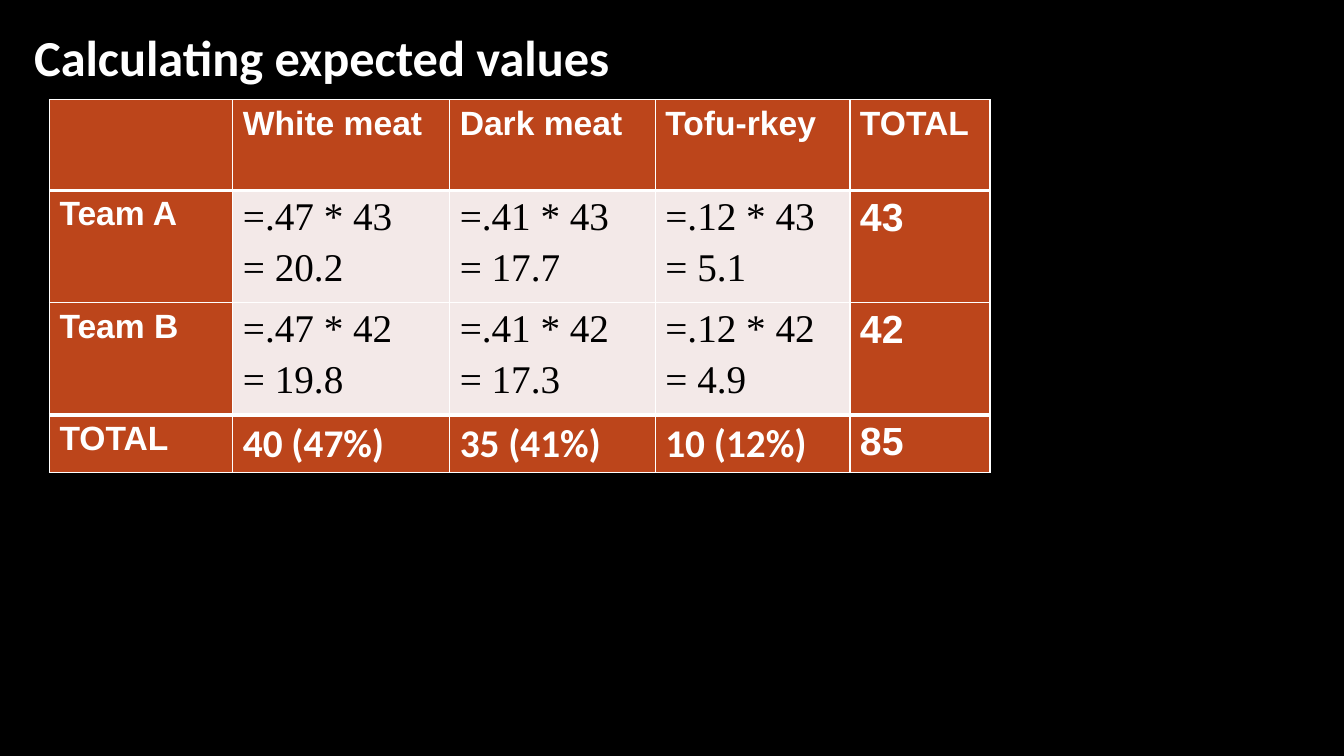
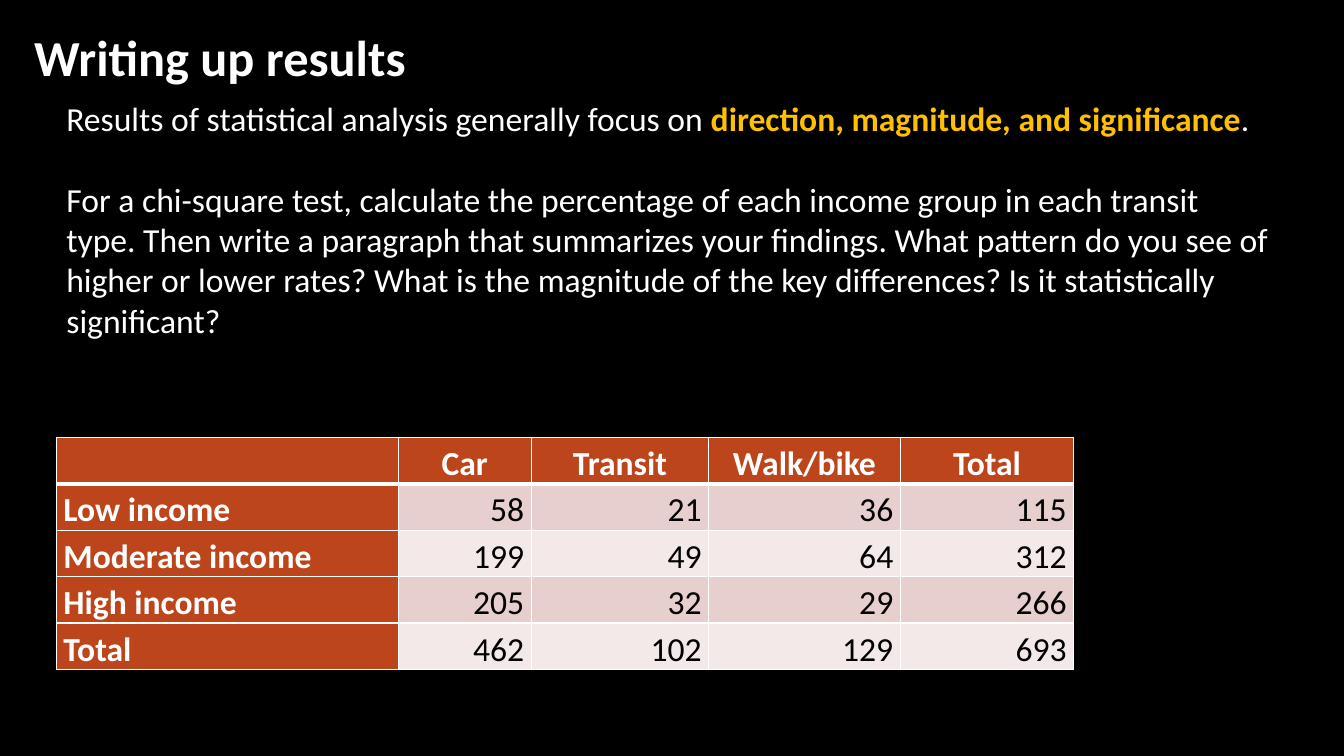
from dataclasses import dataclass, replace
from typing import Callable, Optional

from lxml import etree
from pptx import Presentation, util as u
from pptx.dml.color import RGBColor
from pptx.enum import text
from pptx.oxml import ns

BLACK = RGBColor(0x00, 0x00, 0x00)
WHITE = RGBColor(0xFF, 0xFF, 0xFF)
GOLD = RGBColor(0xFF, 0xC0, 0x00)
RUST = RGBColor(0xBC, 0x45, 0x1B)
PALE = RGBColor(0xF3, 0xE9, 0xE8)
ROSE = RGBColor(0xE7, 0xCF, 0xCD)
ALIGN = text.PP_ALIGN


@dataclass(frozen=True)
class Look:
    font: str = "Calibri"
    size: int = 24
    bold: bool = False
    color: RGBColor = WHITE
    fill: Optional[RGBColor] = None
    align: ALIGN = ALIGN.LEFT
    lead: Optional[float] = None  # line spacing
    gap: float = 0  # space before later paragraphs


@dataclass(frozen=True)
class Grid:
    left: float
    top: float
    cols: list[float]
    rows: list[float]
    cells: list[list[str]]
    look: Callable[[int, int], Look]
    format: dict  # margins and anchor of every cell
    thick: set[int]  # row edges with a heavy rule


# A paragraph is a list of (words, look) runs
Para = list[tuple[str, Look]]


def apply(item, values: dict) -> None:
    for key, value in values.items():
        setattr(item, key, value)


def write(frame, paras: list[Para]) -> None:
    for i, runs in enumerate(paras):
        para = frame.add_paragraph() if i else frame.paragraphs[0]
        base = runs[0][1]
        apply(para, {"alignment": base.align, "line_spacing": base.lead,
                     "space_before": u.Pt(base.gap if i else 0)})
        for words, look in runs:
            run = para.add_run()
            run.text = words
            apply(run.font, {"name": look.font, "size": u.Pt(look.size),
                             "bold": look.bold})
            run.font.color.rgb = look.color


def box(slide, at: tuple[float, ...], paras: list[Para]) -> None:
    frame = slide.shapes.add_textbox(*map(u.Inches, at)).text_frame
    frame.word_wrap = True
    write(frame, paras)


def border(cell, top: int, base: int) -> None:
    props = cell._tc.get_or_add_tcPr()
    sides = {"lnL": 1, "lnR": 1, "lnT": top, "lnB": base}
    for i, (side, width) in enumerate(sides.items()):
        line = etree.Element(ns.qn(f"a:{side}"), w=str(u.Pt(width)))
        fill = etree.SubElement(line, ns.qn("a:solidFill"))
        etree.SubElement(fill, ns.qn("a:srgbClr"), val=str(WHITE))
        props.insert(i, line)


def table(slide, grid: Grid) -> None:
    size = sum(grid.cols), sum(grid.rows)
    area = map(u.Inches, (grid.left, grid.top, *size))
    tab = slide.shapes.add_table(len(grid.rows), len(grid.cols), *area).table
    for col, width in zip(tab.columns, grid.cols):
        col.width = u.Inches(width)
    for r, (row, height) in enumerate(zip(tab.rows, grid.rows)):
        row.height = u.Inches(height)
        for c, cell in enumerate(row.cells):
            look = grid.look(r, c)
            apply(cell, grid.format)
            cell.fill.solid()
            cell.fill.fore_color.rgb = look.fill
            border(cell, *(3 if e in grid.thick else 1 for e in (r, r + 1)))
            words = grid.cells[r][c]
            if words:
                write(cell.text_frame,
                      [[(part, look)] for part in words.split("\n")])


def page(deck, title: str):
    slide = deck.slides.add_slide(deck.slide_layouts[6])
    slide.background.fill.solid()
    slide.background.fill.fore_color.rgb = BLACK
    box(slide, (0.24, 0.21, 9, 0.71), [[(title, Look(size=36, bold=True))]])
    return slide


def pad(side: float, edge: float, anchor) -> dict:
    return {"margin_left": u.Inches(side), "margin_right": u.Inches(side),
            "margin_top": u.Inches(edge), "margin_bottom": u.Inches(edge),
            "vertical_anchor": anchor}


# Cell styles by row and column
def meal(r: int, c: int) -> Look:
    head = Look("Arial", 24, True, WHITE, RUST)
    if r == 0 or c == 0:
        return head
    if c == 4:
        return replace(head, size=28)
    if r == 3:
        return replace(head, size=28, font="Calibri")
    return Look("Times New Roman", 28, False, BLACK, PALE, gap=5.6)


def trip(r: int, c: int) -> Look:
    if r == 0 or c == 0:
        side = ALIGN.LEFT if c == 0 else ALIGN.CENTER
        return Look(bold=True, fill=RUST, align=side, lead=1.15)
    return Look(color=BLACK, fill=ROSE if r % 2 else PALE,
                align=ALIGN.RIGHT, lead=1.15)


MEALS = Grid(
    0.49, 0.99, [1.82, 2.15, 2.04, 1.93, 1.39], [0.9, 1.04, 1.04, 0.57],
    [["", "White meat", "Dark meat", "Tofu-rkey", "TOTAL"],
     ["Team A", "=.47 * 43\n= 20.2", "=.41 * 43\n= 17.7",
      "=.12 * 43\n= 5.1", "43"],
     ["Team B", "=.47 * 42\n= 19.8", "=.41 * 42\n= 17.3",
      "=.12 * 42\n= 4.9", "42"],
     ["TOTAL", "40 (47%)", "35 (41%)", "10 (12%)", "85"]],
    meal, pad(0.1, 0.05, text.MSO_ANCHOR.TOP), {1, 3})

TRIPS = Grid(
    0.56, 4.34, [3.39, 1.32, 1.76, 1.9, 1.72], [0.46] * 5,
    [["", "Car", "Transit", "Walk/bike", "Total"],
     ["Low income", "58", "21", "36", "115"],
     ["Moderate income", "199", "49", "64", "312"],
     ["High income", "205", "32", "29", "266"],
     ["Total", "462", "102", "129", "693"]],
    trip, pad(0.07, 0, text.MSO_ANCHOR.BOTTOM), {1})

BODY = Look(gap=29)
NOTES: list[Para] = [
    [("Results of statistical analysis generally focus on ", BODY),
     ("direction, magnitude, and significance",
      replace(BODY, bold=True, color=GOLD)),
     (".", BODY)],
    [("For a chi-square test, calculate the percentage of each income group "
      "in each transit type. Then write a paragraph that summarizes your "
      "findings. What pattern do you see of higher or lower rates? What is "
      "the magnitude of the key differences? Is it statistically "
      "significant?", BODY)]]


def main() -> None:
    deck = Presentation()
    apply(deck, {"slide_width": u.Inches(13.33),
                 "slide_height": u.Inches(7.5)})

    # Expected values
    table(page(deck, "Calculating expected values"), MEALS)

    # Results
    slide = page(deck, "Writing up results")
    box(slide, (0.56, 0.92, 12.19, 2.93), NOTES)
    table(slide, TRIPS)

    deck.save("out.pptx")


if __name__ == "__main__":
    main()
